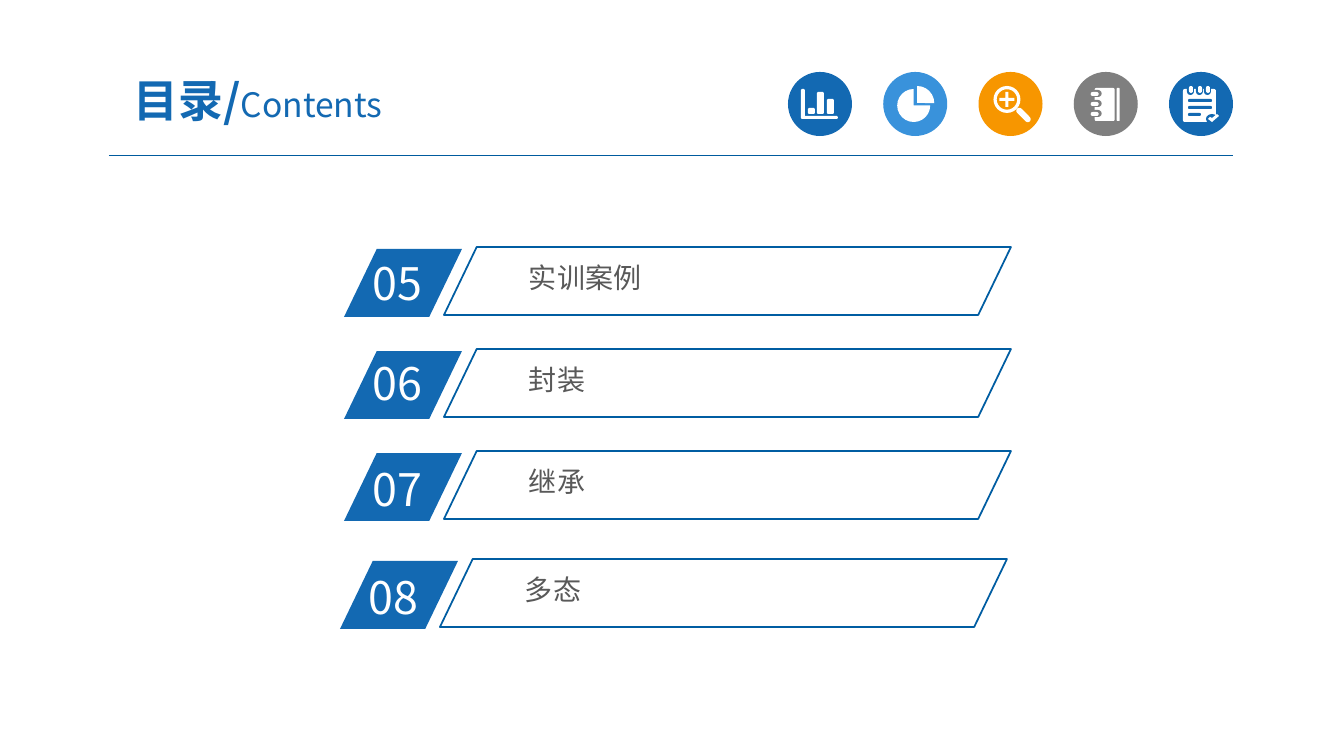
"""Build the second contents slide: a title, five header icons and four numbered chapters."""
from lxml.etree import SubElement
from pptx import Presentation
from pptx.dml.color import RGBColor
from pptx.enum.shapes import MSO_CONNECTOR, MSO_SHAPE
from pptx.enum.text import MSO_ANCHOR, MSO_AUTO_SIZE, PP_ALIGN
from pptx.oxml.ns import qn
from pptx.util import Emu, Pt

FONT = "Noto Sans CJK SC"
COLORS = {
    "blue": "1369B2", "sky": "3992DB", "orange": "F79600", "grey": "7F7F7F",
    "white": "FFFFFF", "text": "595959", "frame": "005DA2", "rule": "005B9E",
}
TITLE_RUNS = [("目录/", 32, True), ("Contents", 24, False)]

# number, chapter, left, top, drop of the number below the top
CHAPTERS = [
    ("05", "实训案例", 344, 249, 2),
    ("06", "封装", 344, 351, 0),
    ("07", "继承", 344, 453, 4),
    ("08", "多态", 340, 561, 4),
]

OVAL, BAR, PIE = MSO_SHAPE.OVAL, MSO_SHAPE.ROUNDED_RECTANGLE, MSO_SHAPE.PIE
NOTEBOOK_RINGS = [
    part for y in (22, 32, 42)
    for part in ((BAR, 18, y - 4, 10, 7, "grey", [0.5]), (BAR, 17, y - 2, 8, 4, "white", [0.5]))
]
NOTEPAD_RINGS = [
    part for x in (22, 31, 39)
    for part in ((BAR, x - 4, 12, 7, 11, "blue", [0.5]), (BAR, x - 2, 14, 4, 7, "white", [0.5]))
]
NOTEPAD_LINES = [
    (BAR, 19, y, width, 3, "blue", [0.5]) for y, width in ((27, 24), (34, 24), (41, 13))
]
# disc colour, then parts: shape, left, top, width, height, colour, adjustments
ICONS = [
    ("blue", []),
    ("sky", [(PIE, 14, 17, 33, 33, "white", [0, 162]), (PIE, 17, 14, 34, 34, "white", [162, 0])]),
    ("orange", [
        (MSO_SHAPE.DONUT, 15, 14, 27, 27, "white", [0.12]),
        (MSO_SHAPE.CROSS, 21, 20, 15, 15, "white", [0.4]),
        (BAR, 36, 40, 18, 6, "white", [0.5]),
    ]),
    ("grey", [
        (BAR, 21, 16, 20, 33, "white", [0.08]), (BAR, 43, 16, 3, 33, "white", [0.3]),
        *NOTEBOOK_RINGS,
    ]),
    ("blue", [
        (BAR, 14, 17, 33, 33, "white", [0.06]), *NOTEPAD_RINGS, *NOTEPAD_LINES,
        (OVAL, 37, 42, 12, 10, "blue", []),
    ]),
]
HANDLE = (2, 2)
CHART_AXES = [(13, 18), (14, 17), (16, 17), (17, 18), (17, 44), (49, 44), (50, 45), (50, 46),
              (49, 47), (14, 47), (13, 46)]
CHART_BARS = [(20, 36, 7, 6), (29, 20, 7, 22), (39, 27, 7, 15)]
CHECK = [(39, 47), (41, 45), (43, 46), (48, 42), (50, 44), (43, 50)]
ICON_LEFT, ICON_TOP, ICON_SIZE, ICON_PITCH = 788, 72, 64, 95.25


def px(length):
    return Emu(round(length * 914400 / 100.8))


def color(name):
    return RGBColor.from_string(COLORS[name])


def paint(shape, fill=None, line=None):
    shape.shadow.inherit = False
    if fill:
        shape.fill.solid()
        shape.fill.fore_color.rgb = color(fill)
    else:
        shape.fill.background()
    if line:
        shape.line.color.rgb = color(line)
        shape.line.width = Pt(1.25)
    else:
        shape.line.fill.background()


def add_shape(slide, kind, left, top, width, height, fill=None, adjustments=(), line=None):
    shape = slide.shapes.add_shape(kind, px(left), px(top), px(width), px(height))
    for index, value in enumerate(adjustments):
        shape.adjustments[index] = value
    paint(shape, fill, line)
    return shape


def cut_corners(left, top, width, height):
    right, bottom = left + width, top + height
    return [
        (left + 1, top), (right - 1, top), (right, top + 1), (right, bottom - 1),
        (right - 1, bottom), (left + 1, bottom), (left, bottom - 1), (left, top + 1),
    ]


def add_outline(slide, column, contours):
    left = ICON_LEFT + column * ICON_PITCH
    builder = None
    for contour in contours:
        points = [(px(left + x), px(ICON_TOP + y)) for x, y in contour]
        if builder is None:
            builder = slide.shapes.build_freeform(*points[0])
        else:
            builder.move_to(*points[0])
        builder.add_line_segments(points[1:], close=True)
    paint(builder.convert_to_shape(), "white")


def style(span, size, name, bold=False):
    span.font.name = FONT
    span.font.size = Pt(size)
    span.font.bold = bold
    span.font.color.rgb = color(name)
    SubElement(span.font._element, qn("a:ea"), typeface=FONT)


def set_margins(frame, side, end):
    frame.margin_left = frame.margin_right = px(side)
    frame.margin_top = frame.margin_bottom = px(end)


def add_label(slide, text, left, top, width, height, size, name, side, end):
    box = slide.shapes.add_textbox(px(left), px(top), px(width), px(height))
    frame = box.text_frame
    frame.word_wrap = True
    set_margins(frame, side, end)
    frame.text = text
    style(frame.paragraphs[0].runs[0], size, name)


def add_title(slide):
    title = slide.shapes.title
    title.left, title.top, title.width, title.height = px(92), px(63), px(332), px(73)
    frame = title.text_frame
    frame.auto_size = MSO_AUTO_SIZE.NONE
    frame.vertical_anchor = MSO_ANCHOR.MIDDLE
    set_margins(frame, 13, 7)
    para = frame.paragraphs[0]
    para.alignment = PP_ALIGN.CENTER
    for text, size, bold in TITLE_RUNS:
        span = para.add_run()
        span.text = text
        style(span, size, "blue", bold)


def add_rule(slide):
    rule = slide.shapes.add_connector(MSO_CONNECTOR.STRAIGHT, px(109), px(156), px(1233), px(156))
    rule.line.color.rgb = color("rule")
    rule.line.width = Pt(0.75)
    SubElement(rule._element.spPr, qn("a:effectLst"))


def add_icons(slide):
    for column, (disc, parts) in enumerate(ICONS):
        left = ICON_LEFT + column * ICON_PITCH
        add_shape(slide, OVAL, left, ICON_TOP, ICON_SIZE, ICON_SIZE, disc)
        for row, (kind, x, y, width, height, fill, adjustments) in enumerate(parts):
            part = add_shape(slide, kind, left + x, ICON_TOP + y, width, height, fill, adjustments)
            if (column, row) == HANDLE:
                part.rotation = 45
    add_outline(slide, 0, [CHART_AXES, *(cut_corners(*bar) for bar in CHART_BARS)])
    add_outline(slide, 4, [CHECK])


def add_chapter(slide, number, chapter, left, top, drop):
    slant = [0.482]
    add_shape(slide, MSO_SHAPE.PARALLELOGRAM, left, top, 118, 68, "blue", slant)
    add_label(slide, number, left + 19, top + drop, 113, 64, 32, "white", 10, 5)
    add_label(slide, chapter, left + 178, top + 7, 415, 41, 20, "text", 7, 4)
    add_shape(slide, MSO_SHAPE.PARALLELOGRAM, left + 100, top - 2, 567, 68, None, slant, "frame")


def main():
    deck = Presentation()
    deck.slide_width, deck.slide_height = px(1344), px(756)
    slide = deck.slides.add_slide(deck.slide_layouts[5])
    add_rule(slide)
    add_icons(slide)
    add_title(slide)
    for chapter in CHAPTERS:
        add_chapter(slide, *chapter)
    deck.save("out.pptx")


if __name__ == "__main__":
    main()
